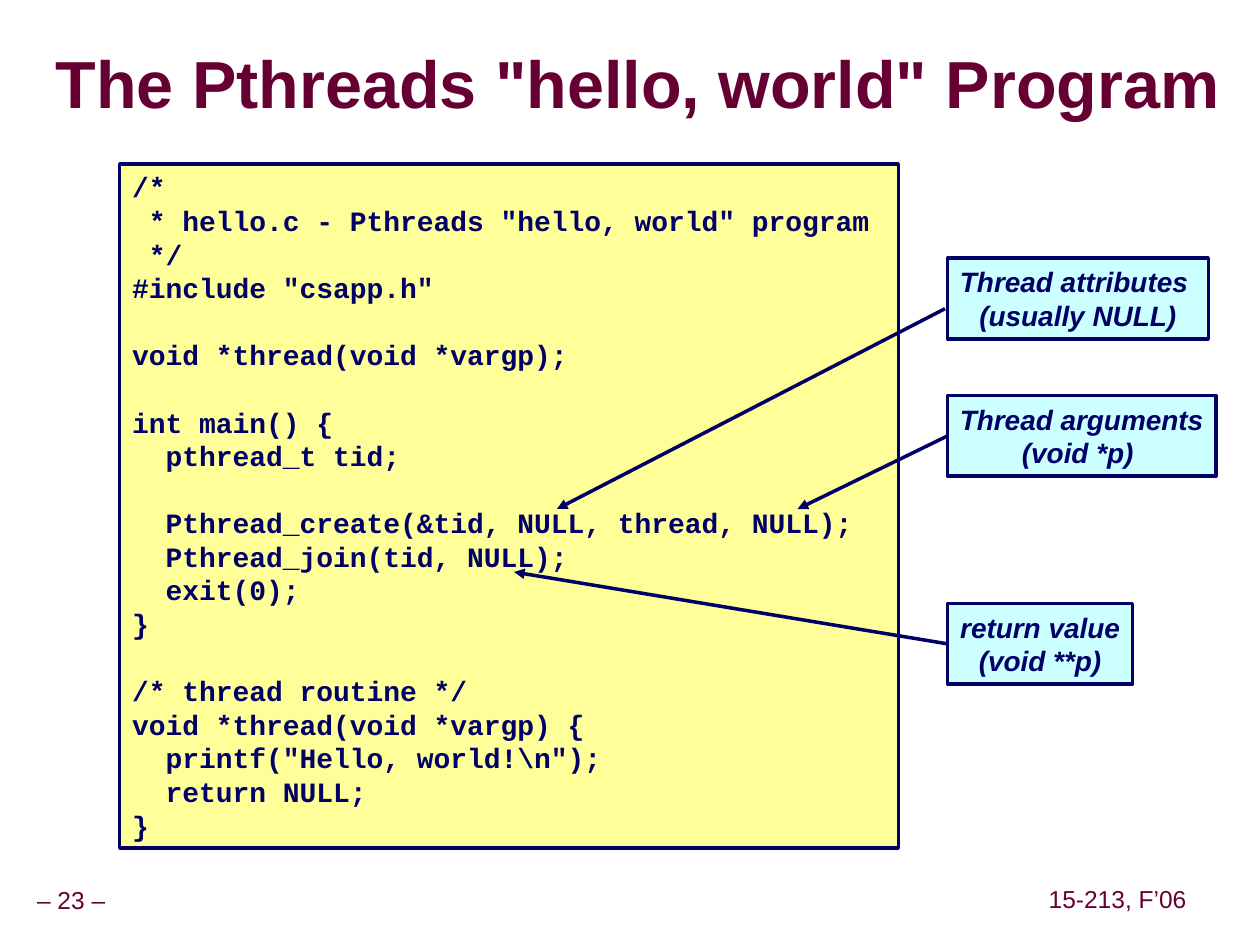
from lxml import etree
from pptx import Presentation, util as u
from pptx.dml.color import RGBColor
from pptx.enum import shapes, text
from pptx.oxml import parse_xml
from pptx.oxml.ns import qn

NAMESPACE = 'xmlns:a="http://schemas.openxmlformats.org/drawingml/2006/main"'
MAROON, NAVY, YELLOW, CYAN = "660033", "000066", "FFFF99", "CCFFFF"
LEFT, CENTER = text.PP_ALIGN.LEFT, text.PP_ALIGN.CENTER
CODE = r'''/*
 * hello.c - Pthreads "hello, world" program
 */
#include "csapp.h"

void *thread(void *vargp);

int main() {
  pthread_t tid;

  Pthread_create(&tid, NULL, thread, NULL);
  Pthread_join(tid, NULL);
  exit(0);
}

/* thread routine */
void *thread(void *vargp) {
  printf("Hello, world!\n");
  return NULL;
}'''


def color(value):
    return RGBColor.from_string(value)


def write(shape, content, hue, margins, wrap, paragraph_format, font_format):
    frame = shape.text_frame
    frame.word_wrap = wrap
    frame.vertical_anchor = text.MSO_ANCHOR.MIDDLE
    frame.margin_left = frame.margin_right = u.Inches(margins[0])
    frame.margin_top = frame.margin_bottom = u.Inches(margins[1])
    for index, line in enumerate(content.split("\n")):
        paragraph = frame.add_paragraph() if index else frame.paragraphs[0]
        for name, value in paragraph_format.items():
            setattr(paragraph, name, value)
        run = paragraph.add_run()
        run.text = line
        run.font.color.rgb = color(hue)
        for name, value in font_format.items():
            setattr(run.font, name, value)


presentation = Presentation()
presentation.slide_width, presentation.slide_height = u.Inches(10), u.Inches(7.5)
slide = presentation.slides.add_slide(presentation.slide_layouts[5])

title = slide.shapes.title
title.left, title.top, title.width, title.height = map(u.Inches, (0.44, 0.27, 9.53, 0.85))
write(title, 'The Pthreads "hello, world" Program', MAROON, (0, 0), True,
      {"alignment": LEFT, "line_spacing": 0.87},
      {"name": "Arial", "size": u.Pt(38), "bold": True})
title.text_frame.auto_size = text.MSO_AUTO_SIZE.NONE
title_fill = title.text_frame.paragraphs[0].runs[0].font._element.find(qn("a:solidFill"))
title_fill.addnext(parse_xml(
    f'<a:effectLst {NAMESPACE}><a:outerShdw dist="38100" dir="2700000">'
    '<a:srgbClr val="999999"/></a:outerShdw></a:effectLst>'))

for content, left, top, width in [("– 23 –", -0.09, 7, 1.31), ("15-213, F’06", 8.27, 6.99, 1.2)]:
    footer = slide.shapes.add_textbox(*map(u.Inches, (left, top, width, 0.31)))
    write(footer, content, MAROON, (0.05, 0.05), False,
          {"alignment": CENTER, "line_spacing": 0.9}, {"name": "Arial", "size": u.Pt(14)})

code_font = {"name": "Courier New", "size": u.Pt(16), "bold": True}
label_font = {"name": "Arial", "size": u.Pt(16), "bold": True, "italic": True}
boxes = [
    (CODE, (0.95, 1.3, 6.18, 5.43), YELLOW, True, LEFT, code_font),
    ("Thread attributes \n(usually NULL)", (7.52, 2.05, 2.07, 0.64), CYAN, False, CENTER, label_font),
    ("Thread arguments\n(void *p) ", (7.52, 3.14, 2.13, 0.64), CYAN, False, CENTER, label_font),
    ("return value\n(void **p)", (7.52, 4.79, 1.47, 0.64), CYAN, False, CENTER, label_font),
]
panels = []
for content, position, fill, wrap, alignment, font_format in boxes:
    panel = slide.shapes.add_shape(shapes.MSO_SHAPE.RECTANGLE, *map(u.Inches, position))
    panel.shadow.inherit = False
    panel.fill.solid()
    panel.fill.fore_color.rgb = color(fill)
    panel.line.color.rgb = color(NAVY)
    panel.line.width = u.Pt(2)
    write(panel, content, NAVY, (0.1, 0.05), wrap,
          {"alignment": alignment, "line_spacing": u.Pt(19.2)}, font_format)
    panels.append(panel)

code_panel, attributes, arguments, return_value = panels
arrows = [
    (None, (7.5, 2.45, 4.42, 4.04)),
    (arguments, (7.5, 3.45, 6.33, 4.04)),
    (return_value, (7.5, 5.12, 4.08, 4.54)),
]
for label, ends in arrows:
    arrow = slide.shapes.add_connector(shapes.MSO_CONNECTOR.STRAIGHT, *map(u.Inches, ends))
    if label is not None:
        arrow.begin_connect(label, 1)
    arrow.line.color.rgb = color(NAVY)
    arrow.line.width = u.Pt(2)
    etree.SubElement(arrow.line._get_or_add_ln(), qn("a:tailEnd"), type="triangle")
    etree.SubElement(arrow._element.spPr, qn("a:effectLst"))

presentation.save("out.pptx")
